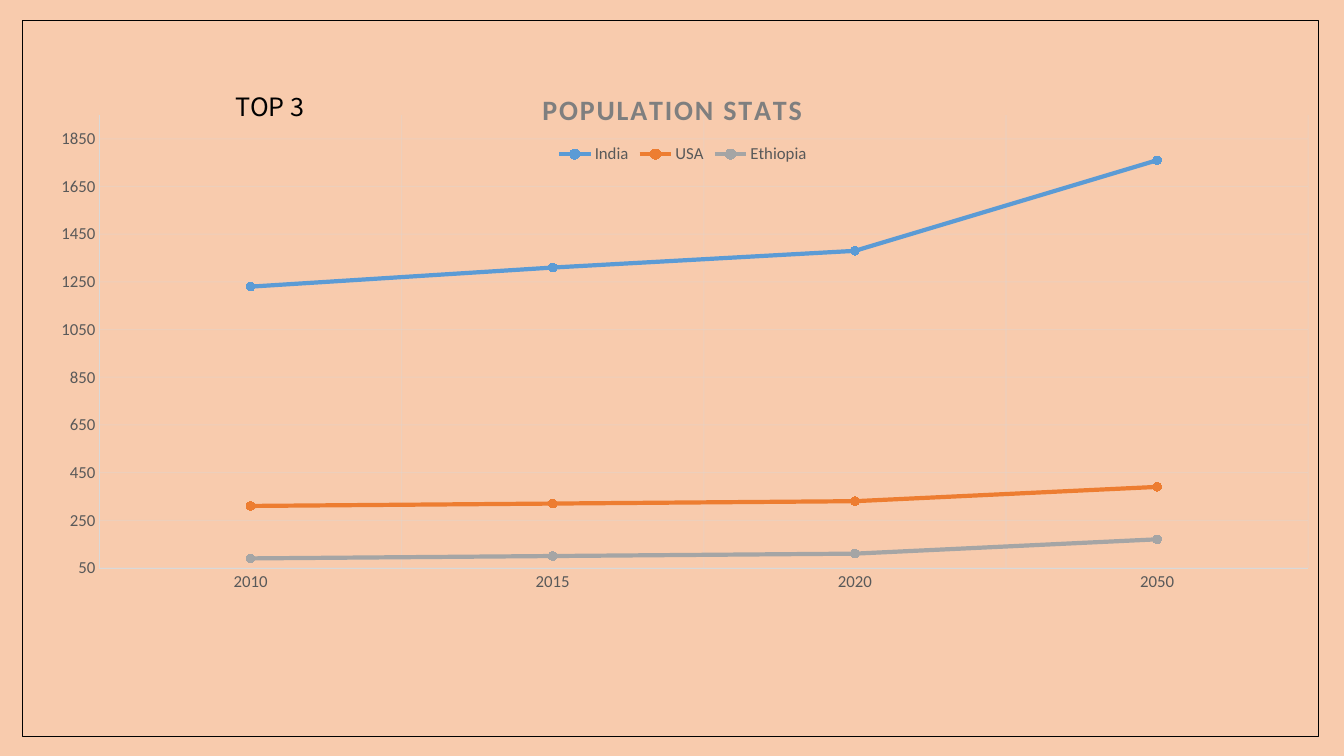
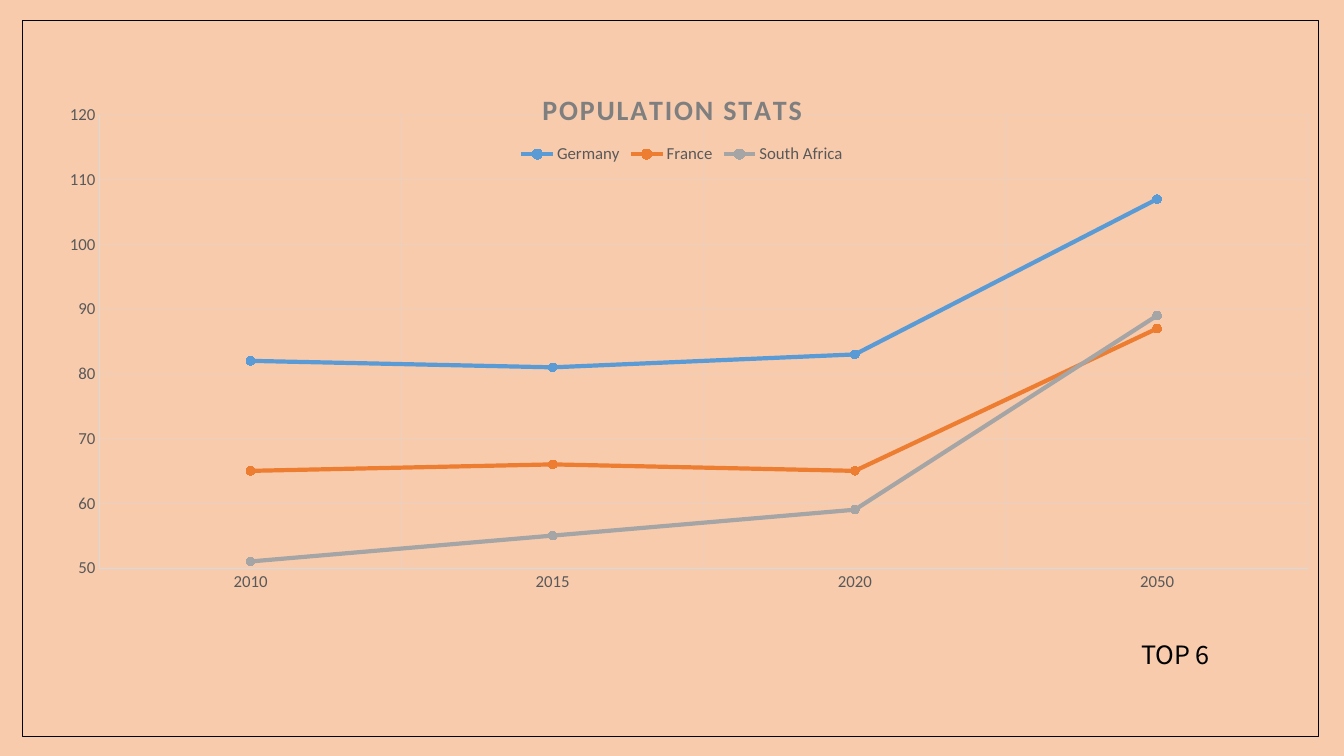
from lxml.etree import SubElement
from pptx import Presentation
from pptx.chart.data import CategoryChartData
from pptx.dml.color import RGBColor
from pptx.enum.chart import XL_CHART_TYPE, XL_LEGEND_POSITION, XL_MARKER_STYLE, XL_TICK_MARK
from pptx.enum.shapes import MSO_SHAPE
from pptx.oxml import parse_xml
from pptx.oxml.ns import nsdecls, qn
from pptx.util import Inches, Pt

COLORS = {
    "background": "F8CBAD",
    "text": "000000",
    "title": "7F7F7F",
    "labels": "595959",
    "grid": "D9D9D9",
}
SERIES_COLORS = ["5B9BD5", "ED7D31", "A5A5A5"]
YEARS = ["2010", "2015", "2020", "2050"]
RANKINGS = [
    {
        "label": "TOP 3", "label_at": (2.24, 0.86, 2.95, 0.4),
        "maximum": 1950, "step": 200, "legend_left": 0.4,
        "countries": {
            "India": (1230, 1310, 1380, 1760),
            "USA": (310, 320, 330, 390),
            "Ethiopia": (90, 100, 110, 170),
        },
    },
    {
        "label": "TOP 6", "label_at": (11.22, 6.29, 2.05, 0.4),
        "maximum": 120, "step": 10, "legend_left": 0.37,
        "countries": {
            "Germany": (82, 81, 83, 107),
            "France": (65, 66, 65, 87),
            "South Africa": (51, 55, 59, 89),
        },
    },
]


def style_font(font, size, color, name="Calibri", bold=False):
    """Set the size, colour, typeface and weight of a font."""
    font.size = Pt(size)
    font.name = name
    font.bold = bold
    font.color.rgb = RGBColor.from_string(color)


def place(element, before, x, y, width=None, height=None):
    """Put a chart part at fractions of the chart, ahead of the named children."""
    for old in element.findall(qn("c:layout")):
        element.remove(old)
    target = '<c:layoutTarget val="inner"/>' if width else ""
    size = f'<c:w val="{width}"/><c:h val="{height}"/>' if width else ""
    layout = parse_xml(
        f'<c:layout {nsdecls("c")}><c:manualLayout>{target}'
        f'<c:xMode val="edge"/><c:yMode val="edge"/>'
        f'<c:x val="{x}"/><c:y val="{y}"/>{size}</c:manualLayout></c:layout>'
    )
    follower = next(child for child in element if child.tag in [qn(tag) for tag in before])
    follower.addprevious(layout)


deck = Presentation()
deck.slide_width, deck.slide_height = Inches(13.33), Inches(7.5)
backdrop = deck.slide_master.background.fill
backdrop.solid()
backdrop.fore_color.rgb = RGBColor.from_string(COLORS["background"])

for ranking in RANKINGS:
    slide = deck.slides.add_slide(deck.slide_layouts[6])

    frame = slide.shapes.add_shape(
        MSO_SHAPE.RECTANGLE, Inches(0.22), Inches(0.2), Inches(12.86), Inches(7.11))
    frame.shadow.inherit = False
    frame.fill.background()
    frame.line.color.rgb = RGBColor.from_string(COLORS["text"])
    frame.line.width = Pt(0.75)

    population = CategoryChartData()
    population.categories = YEARS
    for country, millions in ranking["countries"].items():
        population.add_series(country, millions)
    chart = slide.shapes.add_chart(
        XL_CHART_TYPE.LINE_MARKERS, Inches(0.5), Inches(0.56),
        Inches(12.48), Inches(5.93), population).chart
    style_font(chart.font, 10, COLORS["text"])
    place(chart.plots[0]._element.getparent(), ["c:lineChart"], 0.039, 0.098, 0.961, 0.758)

    chart.has_title = True
    heading = chart.chart_title.text_frame
    heading.text = "POPULATION STATS"
    heading_run = heading.paragraphs[0].runs[0]
    style_font(heading_run.font, 20, COLORS["title"], bold=True)
    heading_run.font._element.set("spc", "120")
    chart.chart_title.include_in_layout = False
    place(chart.chart_title._element, ["c:overlay"], 0.387, 0.048)

    chart.has_legend = True
    chart.legend.position = XL_LEGEND_POSITION.TOP
    chart.legend.include_in_layout = False
    style_font(chart.legend.font, 12, COLORS["labels"])
    place(chart.legend._element, ["c:overlay"], ranking["legend_left"], 0.14)

    for axis in (chart.category_axis, chart.value_axis):
        axis.major_tick_mark = axis.minor_tick_mark = XL_TICK_MARK.NONE
        style_font(axis.tick_labels.font, 12, COLORS["labels"])
        axis.has_major_gridlines = True
        grid = axis.major_gridlines.format.line
        for line, width in ((axis.format.line, 0.25), (grid, 0.75)):
            line.color.rgb = RGBColor.from_string(COLORS["grid"])
            line.width = Pt(width)
        grid_color = axis.major_gridlines._xAx.find(qn("c:majorGridlines")).find(
            ".//" + qn("a:srgbClr"))
        SubElement(grid_color, qn("a:alpha")).set("val", "32000")
    chart.value_axis.minimum_scale = 50
    chart.value_axis.maximum_scale = ranking["maximum"]
    chart.value_axis.major_unit = ranking["step"]

    chart.plots[0].vary_by_categories = False
    for country, color in zip(chart.plots[0].series, SERIES_COLORS):
        country.smooth = False
        country.format.line.width = Pt(3)
        country.marker.style = XL_MARKER_STYLE.CIRCLE
        country.marker.size = 6
        country.marker.format.fill.solid()
        for paint in (country.format.line.color, country.marker.format.fill.fore_color,
                      country.marker.format.line.color):
            paint.rgb = RGBColor.from_string(color)

    label = slide.shapes.add_textbox(*map(Inches, ranking["label_at"])).text_frame
    label.word_wrap = True
    label.text = ranking["label"]
    style_font(label.paragraphs[0].runs[0].font, 18, COLORS["text"], "Noto Sans CJK SC")

deck.save("out.pptx")
